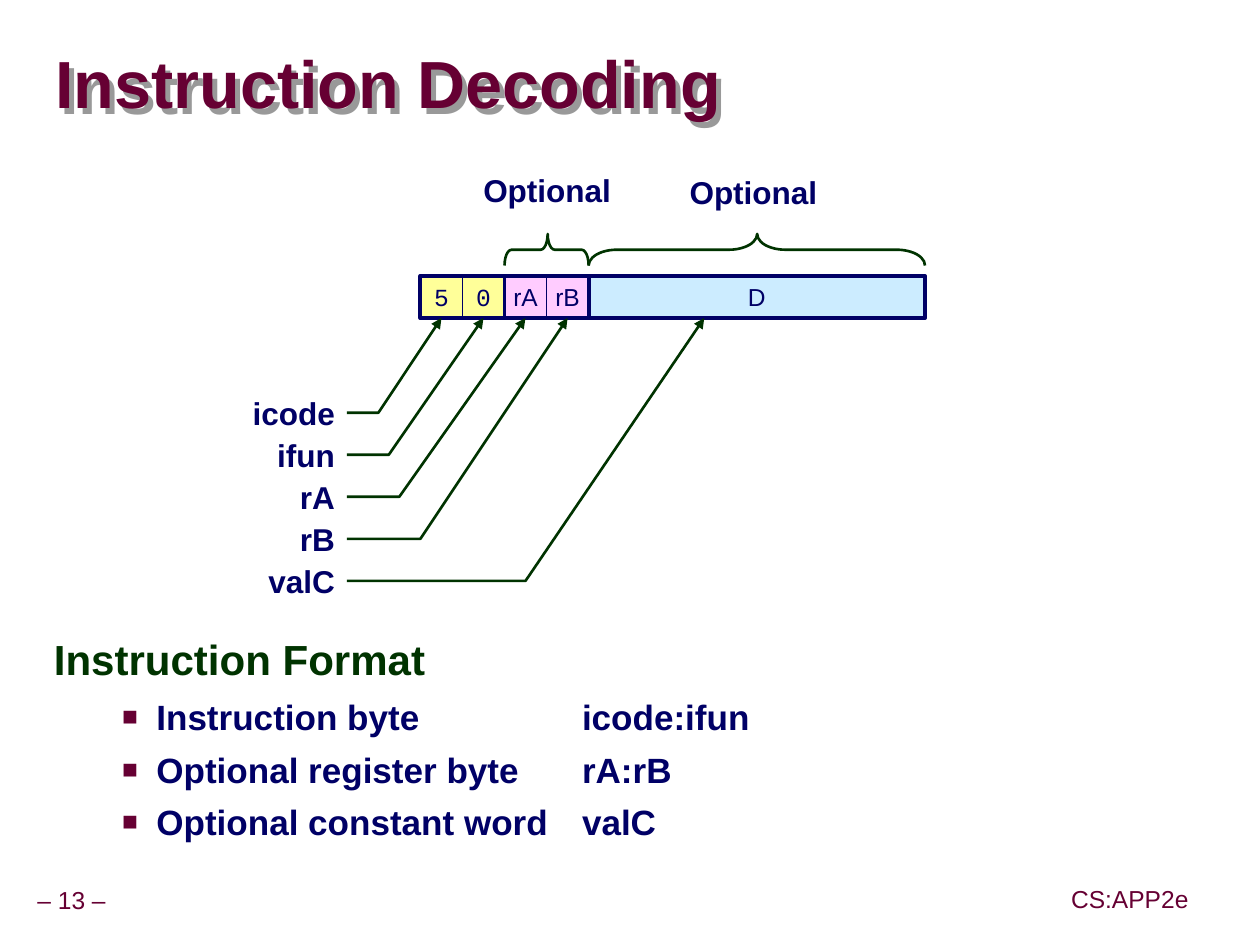
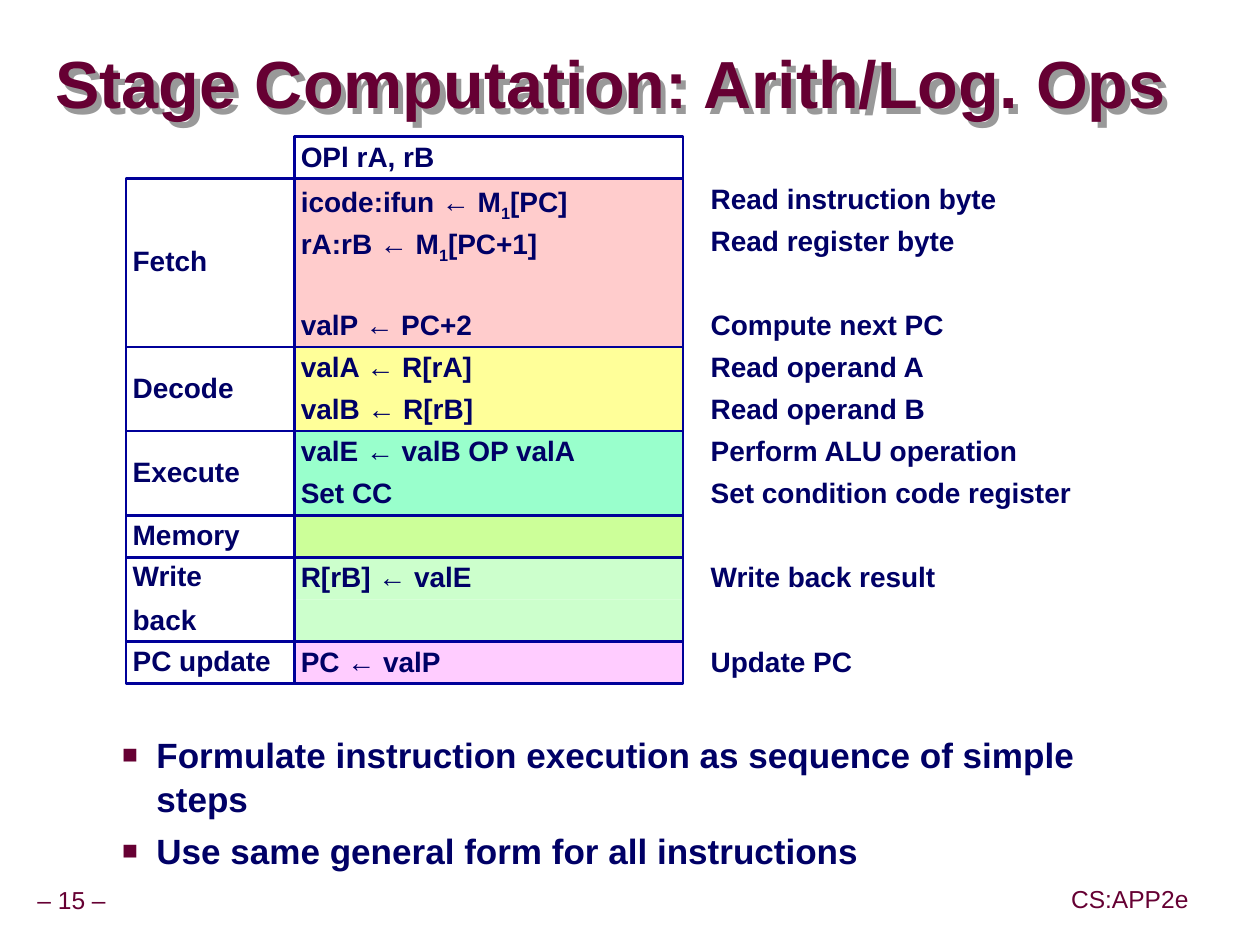
from dataclasses import dataclass

from lxml import etree
from pptx import Presentation
from pptx import util as u
from pptx.dml.color import RGBColor
from pptx.enum import shapes, text
from pptx.oxml import parse_xml
from pptx.oxml.ns import nsdecls, qn


@dataclass(frozen=True)
class Theme:
    wine: str = "660033"
    navy: str = "000066"
    blue: str = "000099"
    green: str = "003300"
    gray: str = "999999"
    rose: str = "FFCCCC"
    yellow: str = "FFFF99"
    mint: str = "99FFCC"
    lime: str = "CCFF99"
    pale: str = "CCFFCC"
    pink: str = "FFCCFF"
    sky: str = "CCECFF"
    font: str = "Arial"
    mono: str = "Courier New"
    title: int = 38
    head: int = 24
    body: int = 20
    label: int = 18
    cell: int = 16
    small: int = 14


T = Theme()
PX = 9525
PAD = 5
KIND = shapes.MSO_SHAPE
LEFT, MID, RIGHT = text.PP_ALIGN.LEFT, text.PP_ALIGN.CENTER, text.PP_ALIGN.RIGHT


def box(page, x, y, w, h, fill=None, line=None, width=1.5, kind=KIND.RECTANGLE):
    item = page.shapes.add_shape(kind, *[round(n * PX) for n in (x, y, w, h)])
    item.shadow.inherit = False
    if fill:
        item.fill.solid()
        item.fill.fore_color.rgb = RGBColor.from_string(fill)
    else:
        item.fill.background()
    if line:
        item.line.color.rgb = RGBColor.from_string(line)
        item.line.width = u.Pt(width)
    else:
        item.line.fill.background()
    return item


def write(item, words, size=T.cell, color=T.navy, font=T.font, bold=True, align=LEFT,
          middle=False, wrap=True, pad=(PAD, PAD), space=0.9, before=0, bullet=False, tab=None):
    frame = item.text_frame
    frame.word_wrap = wrap
    frame.vertical_anchor = text.MSO_ANCHOR.MIDDLE if middle else text.MSO_ANCHOR.TOP
    frame.margin_left = frame.margin_right = pad[0] * PX
    frame.margin_top = frame.margin_bottom = pad[1] * PX
    for words in words.split("\n"):
        first = not frame.text
        para = frame.paragraphs[0] if first else frame.add_paragraph()
        para.alignment = align
        para.line_spacing = space
        para.space_before = u.Pt(0 if first else before)
        props = para._p.get_or_add_pPr()
        if bullet:
            props.set("marL", str(78 * PX))
            props.set("indent", str(-26 * PX))
            for mark in (f'<a:buClr {nsdecls("a")}><a:srgbClr val="{T.wine}"/></a:buClr>',
                         f'<a:buSzPct {nsdecls("a")} val="75000"/>',
                         f'<a:buFont {nsdecls("a")} typeface="{T.font}"/>',
                         f'<a:buChar {nsdecls("a")} char="■"/>'):
                props.append(parse_xml(mark))
        if tab:
            tabs = etree.SubElement(props, qn("a:tabLst"))
            etree.SubElement(tabs, qn("a:tab"), pos=str(tab * PX), algn="l")
        for i, part in enumerate(words.split("~")):
            run = para.add_run()
            run.text = part
            run.font.size = u.Pt(size)
            run.font.name = font
            run.font.bold = bold
            run.font.color.rgb = RGBColor.from_string(color)
            if i % 2:
                run.font._element.set("baseline", "-25000")


deck = Presentation()
deck.slide_width, deck.slide_height = 959 * PX, 719 * PX
pages = []
for title, num in (("Instruction Decoding", 13), ("Stage Computation: Arith/Log. Ops", 15)):
    page = deck.slides.add_slide(deck.slide_layouts[6])
    pages.append(page)
    for words, x, y, w in ((f"– {num} –", 23, 671, 63), ("CS:APP2e", 810, 670, 100)):
        write(box(page, x, y, w, 30), words, size=T.small, color=T.wine, bold=False,
              align=MID, middle=True, wrap=False)
    head = box(page, 42, 26, 914, 82)
    write(head, title, size=T.title, color=T.wine, middle=True, pad=(0, 0), space=0.87)
    glow = head._element.spPr.find(qn("a:effectLst"))
    glow.append(parse_xml(
        f'<a:outerShdw {nsdecls("a")} dist="53882" dir="2700000" algn="ctr" rotWithShape="0">'
        f'<a:srgbClr val="{T.gray}"/></a:outerShdw>'))

code, stage = pages
list_style = dict(size=T.body, pad=(10, PAD), space=1.04, before=5, bullet=True)

body = box(code, 31, 480, 871, 195)
write(body, "Instruction Format", size=T.head, color=T.green, pad=(10, PAD), space=0.95)
write(body, "Instruction byte\ticode:ifun\nOptional register byte\trA:rB\n"
      "Optional constant word\tvalC", tab=402, **list_style)

UNIT, LEFT_X, TOP = 32, 320, 210
pairs = (("50", T.yellow, T.mono), (("rA", "rB"), T.pink, T.font))
for p, (names, fill, font) in enumerate(pairs):
    x = LEFT_X + p * 2 * UNIT
    for i, name in enumerate(names):
        write(box(code, x + i * UNIT, TOP, UNIT, UNIT, fill, T.navy, 0.5), name, size=T.small,
              font=font, bold=False, align=MID, middle=True, wrap=False, space=1.0)
    box(code, x, TOP, 2 * UNIT, UNIT, None, T.navy, 2.25)
write(box(code, 448, TOP, 256, UNIT, T.sky, T.navy, 2.25), "D", size=T.small,
      bold=False, align=MID, middle=True, wrap=False, space=1.0)

fields = (("icode", 288, 336), ("ifun", 296, 368), ("rA", 304, 400),
          ("rB", 320, 432), ("valC", 400, 536))
for i, (name, bend, tip) in enumerate(fields):
    y = 298 + i * UNIT
    write(box(code, 160, y, 100, 35), name, size=T.label, align=RIGHT)
    trace = code.shapes.build_freeform(264, y + 16, scale=PX)
    trace.add_line_segments([(bend, y + 16), (tip, TOP + UNIT)], close=False)
    arrow = trace.convert_to_shape()
    arrow.shadow.inherit = False
    arrow.fill.background()
    arrow.line.color.rgb = RGBColor.from_string(T.green)
    arrow.line.width = u.Pt(1.5)
    etree.SubElement(arrow.line._get_or_add_ln(), qn("a:tailEnd"), type="triangle")

for x, span, bend, tip, word_x, word_y in ((384, 64, 0.222, 0.487, 363, 128),
                                         (448, 256, 0.889, 0.499, 520, 130)):
    brace = box(code, x + span / 2 - 12, 190 - span / 2, 24, span, None, T.green,
                kind=KIND.LEFT_BRACE)
    brace.rotation = 90
    brace.adjustments[0], brace.adjustments[1] = bend, tip
    write(box(code, word_x, word_y, 107, 35), "Optional", size=T.label, align=MID, wrap=False)

write(box(stage, 31, 552, 871, 123),
      "Formulate instruction execution as sequence of simple steps\n"
      "Use same general form for all instructions", **list_style)

COL, WIDE = 224, 296
write(box(stage, COL, 104, WIDE, UNIT, None, T.blue), "OPl rA, rB")
steps = (
    ("Fetch", T.rose, (("icode:ifun ← M~1~[PC]", "Read instruction byte"),
                       ("rA:rB ← M~1~[PC+1]", "Read register byte"),
                       ("", ""),
                       ("valP ← PC+2", "Compute next PC"))),
    ("Decode", T.yellow, (("valA ← R[rA]", "Read operand A"),
                          ("valB ← R[rB]", "Read operand B"))),
    ("Execute", T.mint, (("valE ← valB OP valA", "Perform ALU operation"),
                         ("Set CC", "Set condition code register"))),
    ("Memory", T.lime, (("", ""),)),
    ("Write\nback", T.pale, (("R[rB] ← valE", "Write back result"), ("", ""))),
    ("PC update", T.pink, (("PC ← valP", "Update PC"),)),
)
y = 136
for name, fill, rows in steps:
    tall = len(rows) * UNIT
    for i, (work, note) in enumerate(rows):
        cell = box(stage, COL, y + i * UNIT, WIDE, UNIT, fill)
        if work:
            write(cell, work)
        if note:
            write(box(stage, 536, y + i * UNIT, WIDE, UNIT), note)
    box(stage, COL, y, WIDE, tall, None, T.blue)
    write(box(stage, 96, y, 128, tall, None, T.blue), name, middle=True, before=8)
    y += tall

deck.save("out.pptx")
